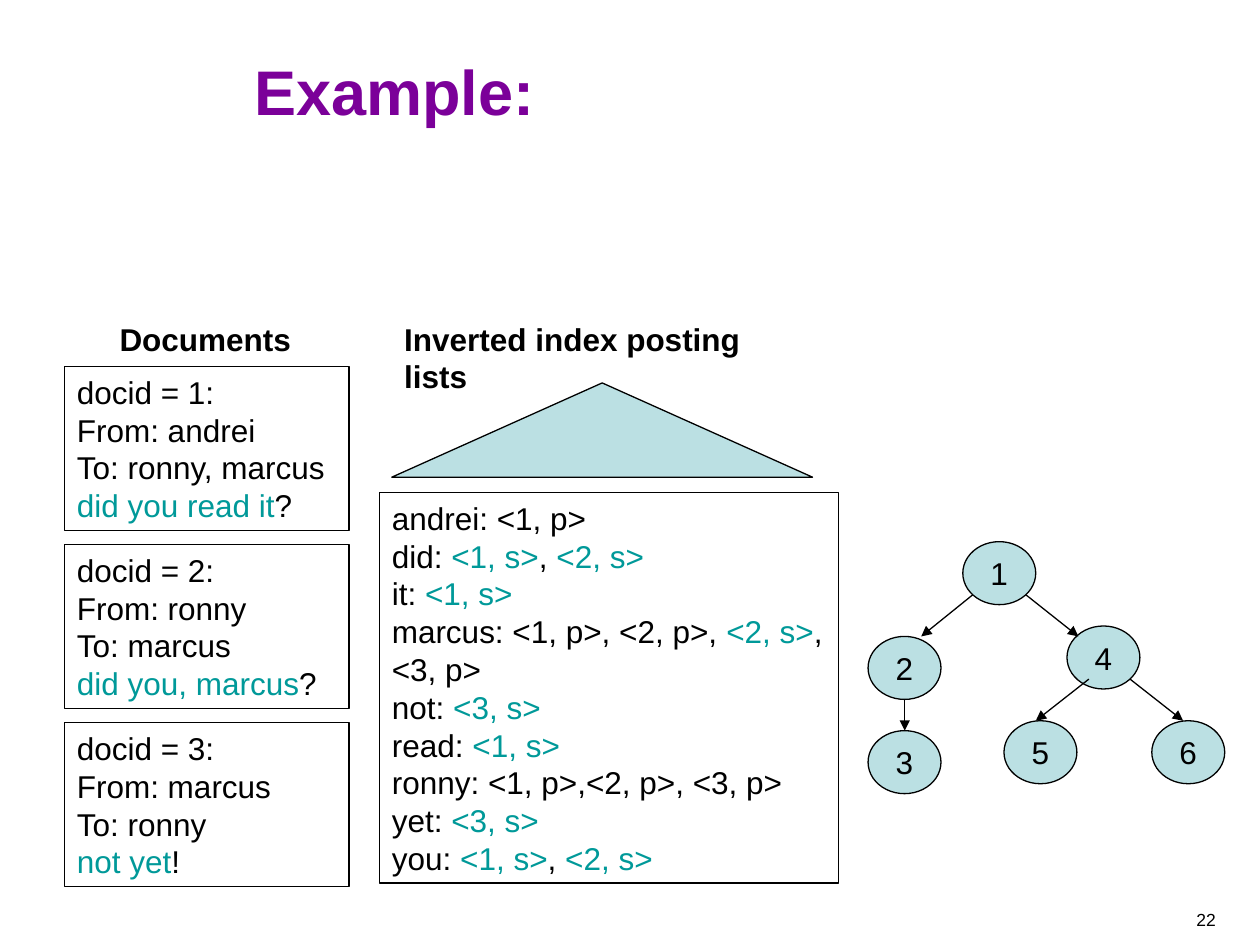
import pptx
import pptx.dml.color
import pptx.enum.shapes
import pptx.enum.text
import pptx.oxml
import pptx.oxml.ns
import pptx.util

Cm = pptx.util.Cm
Shape = pptx.enum.shapes.MSO_SHAPE
Align = pptx.enum.text.PP_ALIGN
Anchor = pptx.enum.text.MSO_ANCHOR
colors = {"title": "7B0099", "text": "000000", "body": "009999", "fill": "BBE0E3", "line": "000000"}
rgb = {name: pptx.dml.color.RGBColor.from_string(value) for name, value in colors.items()}

deck = pptx.Presentation()
deck.slide_width = Cm(25.4)
deck.slide_height = Cm(19.05)
page = deck.slides.add_slide(deck.slide_layouts[6])


def add_text(text, *, at, shape=None, size=18, bold=False, color="text",
             align=Align.LEFT, anchor=Anchor.TOP, wrap=True, fill=None):
    place = [Cm(value) for value in at]
    if shape is None:
        box = page.shapes.add_textbox(*place)
    else:
        box = page.shapes.add_shape(shape, *place)
        box.shadow.inherit = False
        box.line.color.rgb = rgb["line"]
        box.line.width = pptx.util.Pt(0.75)
        if fill:
            box.fill.solid()
            box.fill.fore_color.rgb = rgb[fill]
        else:
            box.fill.background()
    frame = box.text_frame
    frame.word_wrap = wrap
    frame.vertical_anchor = anchor
    for index, line in enumerate(text.split("\n")):
        para = frame.paragraphs[0] if index == 0 else frame.add_paragraph()
        para.alignment = align
        for part, words in enumerate(line.split("|")):
            if words:
                span = para.add_run()
                span.text = words
                span.font.name = "Arial"
                span.font.size = pptx.util.Pt(size)
                span.font.bold = bold
                span.font.color.rgb = rgb["body" if part % 2 else color]


add_text("Example:", at=(4.88, 0.23, 19.69, 3.18), size=36, bold=True, color="title", anchor=Anchor.MIDDLE)

documents = [
    "docid = 1:\nFrom: andrei\nTo: ronny, marcus\n|did you read it|?",
    "docid = 2:\nFrom: ronny\nTo: marcus\n|did you, marcus|?",
    "docid = 3:\nFrom: marcus\nTo: ronny\n|not yet|!",
]
for index, document in enumerate(documents):
    add_text(document, at=(1.3, 7.39 + 3.59 * index, 5.74, 3.3), shape=Shape.RECTANGLE)

postings = [
    "andrei: <1, p>",
    "did: |<1, s>|, |<2, s>",
    "it: |<1, s>",
    "marcus: <1, p>, <2, p>, |<2, s>|, <3, p>",
    "not: |<3, s>",
    "read: |<1, s>",
    "ronny: <1, p>,<2, p>, <3, p>",
    "yet: |<3, s>",
    "you: |<1, s>|, |<2, s>",
]
add_text("\n".join(postings), at=(7.65, 9.93, 9.25, 7.87), shape=Shape.RECTANGLE)
add_text("Documents", at=(2.16, 6.32, 3.96, 1.02), bold=True, wrap=False)
add_text("Inverted index posting lists", at=(7.9, 6.32, 8.71, 1.02), bold=True, wrap=False)
add_text("", at=(7.9, 7.72, 8.48, 1.9), shape=Shape.ISOSCELES_TRIANGLE, fill="fill")

nodes = [(19.41, 10.92), (17.5, 12.83), (17.5, 14.73), (21.51, 12.62), (20.24, 14.53), (23.22, 14.53)]
for number, (left, top) in enumerate(nodes, start=1):
    add_text(str(number), at=(left, top, 1.47, 1.27), shape=Shape.OVAL, fill="fill",
             align=Align.CENTER, anchor=Anchor.MIDDLE, wrap=False)

arrows = [
    (19.61, 11.99, 18.57, 12.83),
    (20.68, 11.99, 21.74, 12.83),
    (21.95, 13.69, 20.88, 14.53),
    (22.78, 13.69, 23.85, 14.53),
    (18.24, 14.1, 18.24, 14.73),
]
for ends in arrows:
    arrow = page.shapes.add_connector(pptx.enum.shapes.MSO_CONNECTOR.STRAIGHT, *[Cm(value) for value in ends])
    arrow.line.color.rgb = rgb["line"]
    arrow.line.width = pptx.util.Pt(0.75)
    head = pptx.oxml.parse_xml(f'<a:tailEnd {pptx.oxml.ns.nsdecls("a")} type="triangle"/>')
    arrow.line._get_or_add_ln().append(head)
    properties = arrow._element.spPr
    properties.append(pptx.oxml.parse_xml(f'<a:effectLst {pptx.oxml.ns.nsdecls("a")}/>'))

add_text("22", at=(19.48, 18.21, 5.28, 0.84), size=10, align=Align.RIGHT)

deck.save("out.pptx")
